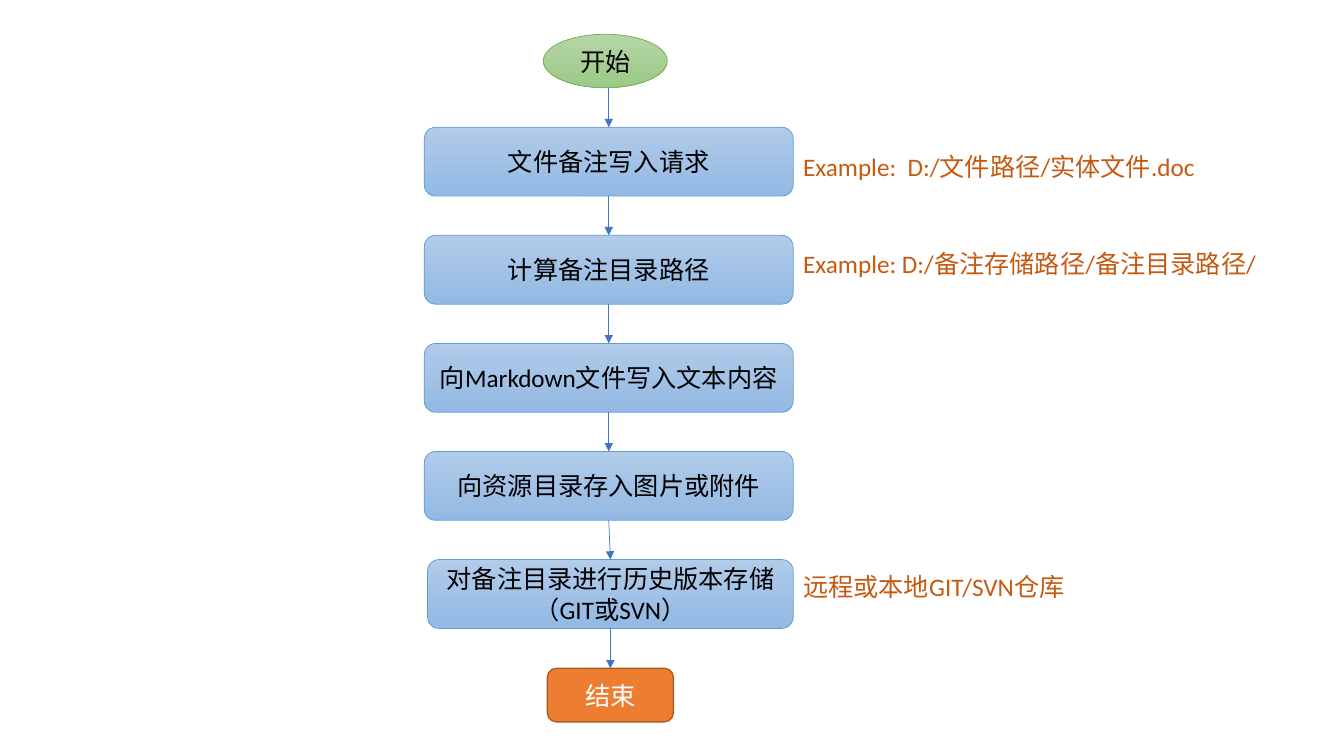
import pptx
import pptx.util
import pptx.dml.color
import pptx.enum.shapes
import pptx.enum.text
import pptx.oxml.ns
from lxml import etree

Pt = pptx.util.Pt
RGB = pptx.dml.color.RGBColor
SHAPE = pptx.enum.shapes.MSO_SHAPE
ALIGN = pptx.enum.text.PP_ALIGN
qn = pptx.oxml.ns.qn

# Content: (step, left edge); (note, top, width)
STEPS = [
    ("文件备注写入请求", 303.1),
    ("计算备注目录路径", 303.1),
    ("向Markdown文件写入文本内容", 303.1),
    ("向资源目录存入图片或附件", 303.1),
    ("对备注目录进行历史版本存储（GIT或SVN）", 305.4),
]
NOTES = [
    ("Example:  D:/文件路径/实体文件.doc", 104.4, 376.6),
    ("Example: D:/备注存储路径/备注目录路径/", 173.5, 349.2),
    ("远程或本地GIT/SVN仓库", 404.6, 294.5),
]

# Style
BLACK, WHITE = RGB(0, 0, 0), RGB(255, 255, 255)
NOTE_COLOR = RGB(0xC5, 0x5A, 0x11)
ARROW_COLOR = RGB(0x44, 0x72, 0xC4)
GREEN_FILL = RGB(0xB5, 0xD5, 0xA7), RGB(0x9C, 0xC9, 0x87)
GREEN_LINE = RGB(0x70, 0xAD, 0x47)
BLUE_FILL = RGB(0xB1, 0xCB, 0xE9), RGB(0x93, 0xB9, 0xE4)
BLUE_LINE = RGB(0x5B, 0x9B, 0xD5)
ORANGE_FILL = (RGB(0xED, 0x7D, 0x31),)
ORANGE_LINE = RGB(0xAF, 0x5C, 0x24)

# Layout
STEP_TOP, STEP_PITCH, STEP_HEIGHT, STEP_RIGHT = 90.9, 77.2, 49.2, 566.6
START_BOX = (388.1, 24.5, 88.6, 38.2)
END_BOX = (391, 477.4, 90, 38.2)

presentation = pptx.Presentation()
presentation.slide_width, presentation.slide_height = Pt(960), Pt(540)
slide = presentation.slides.add_slide(presentation.slide_layouts[6])


def write(shape, text, color, alignment):
    text_frame = shape.text_frame
    text_frame.text = text
    text_frame.word_wrap = True
    paragraph = text_frame.paragraphs[0]
    paragraph.alignment = alignment
    font = paragraph.runs[0].font
    font.name, font.size, font.color.rgb = "Calibri", Pt(18), color


def add_node(kind, box, text, fill_colors, line_color, line_width=0.5, color=BLACK):
    shape = slide.shapes.add_shape(kind, *map(Pt, box))
    shape.shadow.inherit = False
    if len(fill_colors) == 1:
        shape.fill.solid()
        shape.fill.fore_color.rgb = fill_colors[0]
    else:
        shape.fill.gradient()
        shape.fill.gradient_angle = 270
        for stop, stop_color in zip(shape.fill.gradient_stops, fill_colors):
            stop.color.rgb = stop_color
    shape.line.color.rgb, shape.line.width = line_color, Pt(line_width)
    write(shape, text, color, ALIGN.CENTER)
    shape.text_frame.vertical_anchor = pptx.enum.text.MSO_ANCHOR.MIDDLE


def add_arrow(*ends):
    connector = slide.shapes.add_connector(
        pptx.enum.shapes.MSO_CONNECTOR.STRAIGHT, *map(Pt, ends))
    connector.line.color.rgb, connector.line.width = ARROW_COLOR, Pt(0.5)
    line = connector.line._get_or_add_ln()
    etree.SubElement(line, qn("a:tailEnd"), type="triangle")
    etree.SubElement(line.getparent(), qn("a:effectLst"))


# Flow nodes from start to end
add_node(SHAPE.OVAL, START_BOX, "开始", GREEN_FILL, GREEN_LINE)
step_boxes = [
    (left, STEP_TOP + index * STEP_PITCH, STEP_RIGHT - left, STEP_HEIGHT)
    for index, (_, left) in enumerate(STEPS)
]
for (text, _), box in zip(STEPS, step_boxes):
    add_node(SHAPE.ROUNDED_RECTANGLE, box, text, BLUE_FILL, BLUE_LINE)
add_node(SHAPE.ROUNDED_RECTANGLE, END_BOX, "结束", ORANGE_FILL, ORANGE_LINE, 1, WHITE)

# Notes beside the steps
for text, top, width in NOTES:
    note = slide.shapes.add_textbox(Pt(STEP_RIGHT), Pt(top), Pt(width), Pt(29))
    write(note, text, NOTE_COLOR, ALIGN.LEFT)
    note.text_frame.auto_size = pptx.enum.text.MSO_AUTO_SIZE.SHAPE_TO_FIT_TEXT

# Arrows run between step centres; the outer two stay vertical
centers = [left + width / 2 for left, _, width, _ in step_boxes]
centers = [centers[0], *centers, centers[-1]]
boxes = [START_BOX, *step_boxes, END_BOX]
for index in range(len(boxes) - 1):
    upper, lower = boxes[index], boxes[index + 1]
    add_arrow(centers[index], upper[1] + upper[3], centers[index + 1], lower[1])

presentation.save("out.pptx")
